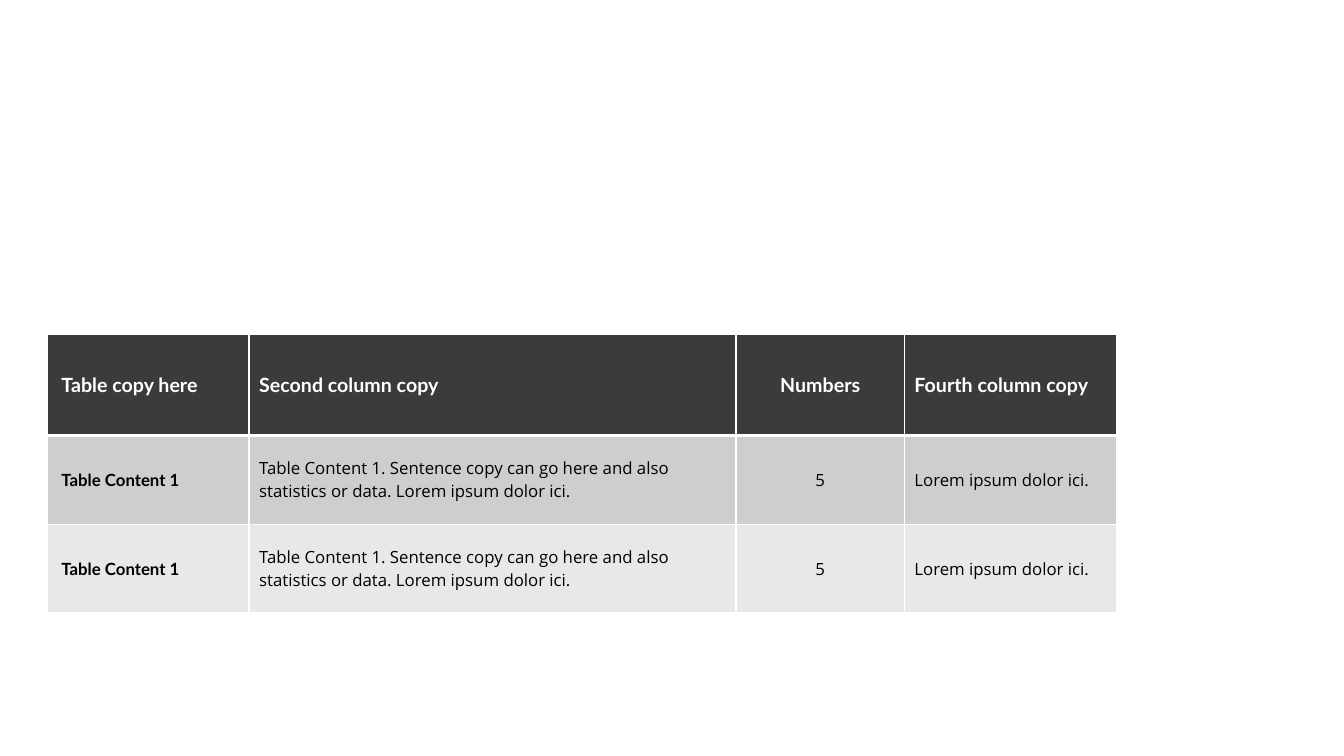
from lxml.etree import SubElement
from pptx import Presentation
from pptx.dml.color import RGBColor
from pptx.enum.text import MSO_ANCHOR, PP_ALIGN
from pptx.oxml.ns import qn
from pptx.util import Inches, Pt

WHITE = RGBColor(0xFF, 0xFF, 0xFF)
BLACK = RGBColor(0x00, 0x00, 0x00)
CHARCOAL = RGBColor(0x3D, 0x3A, 0x3B)
MID_GREY = RGBColor(0xCE, 0xCE, 0xCE)
LIGHT_GREY = RGBColor(0xE8, 0xE8, 0xE8)

HEADER = ["Table copy here", "Second column copy", "Numbers", "Fourth column copy"]
CONTENT = [
    "Table Content 1",
    "Table Content 1. Sentence copy can go here and also statistics or data. "
    "Lorem ipsum dolor ici.",
    "5",
    "Lorem ipsum dolor ici.",
]
ROWS = [(HEADER, CHARCOAL), (CONTENT, MID_GREY), (CONTENT, LIGHT_GREY)]
COL_WIDTHS = [2, 4.83, 1.67, 2.1]
ROW_HEIGHTS = [1, 0.88, 0.88]
NUMBER_COL = 2


def add_border(cell, side, width):
    ln = SubElement(cell._tc.get_or_add_tcPr(), qn(f"a:ln{side}"), w=str(Pt(width)))
    SubElement(SubElement(ln, qn("a:solidFill")), qn("a:srgbClr"), val=str(WHITE))


prs = Presentation()
prs.slide_width, prs.slide_height = Inches(13.33), Inches(7.5)
s = prs.slides.add_slide(prs.slide_layouts[6])

table = s.shapes.add_table(
    len(ROWS), len(COL_WIDTHS), Inches(0.47), Inches(3.32),
    Inches(sum(COL_WIDTHS)), Inches(sum(ROW_HEIGHTS)),
).table
for column, width in zip(table.columns, COL_WIDTHS):
    column.width = Inches(width)
for row, height in zip(table.rows, ROW_HEIGHTS):
    row.height = Inches(height)

for i, (texts, fill) in enumerate(ROWS):
    is_header = i == 0
    for j, text in enumerate(texts):
        cell = table.cell(i, j)
        for side in "LRTB":
            heavy = (i, side) in ((0, "B"), (1, "T"))
            add_border(cell, side, 3 if heavy else 1)
        cell.fill.solid()
        cell.fill.fore_color.rgb = fill
        cell.vertical_anchor = MSO_ANCHOR.MIDDLE
        if j == 0:
            cell.margin_left = Inches(0.14)

        cell.text_frame.text = text
        p = cell.text_frame.paragraphs[0]
        p.alignment = PP_ALIGN.CENTER if j == NUMBER_COL else PP_ALIGN.LEFT
        font = p.runs[0].font
        font.bold = is_header or j == 0
        font.name = "Lato" if font.bold else "Open Sans"
        font.size = Pt(14 if is_header else 12)
        font.color.rgb = WHITE if is_header else BLACK

prs.save("out.pptx")
